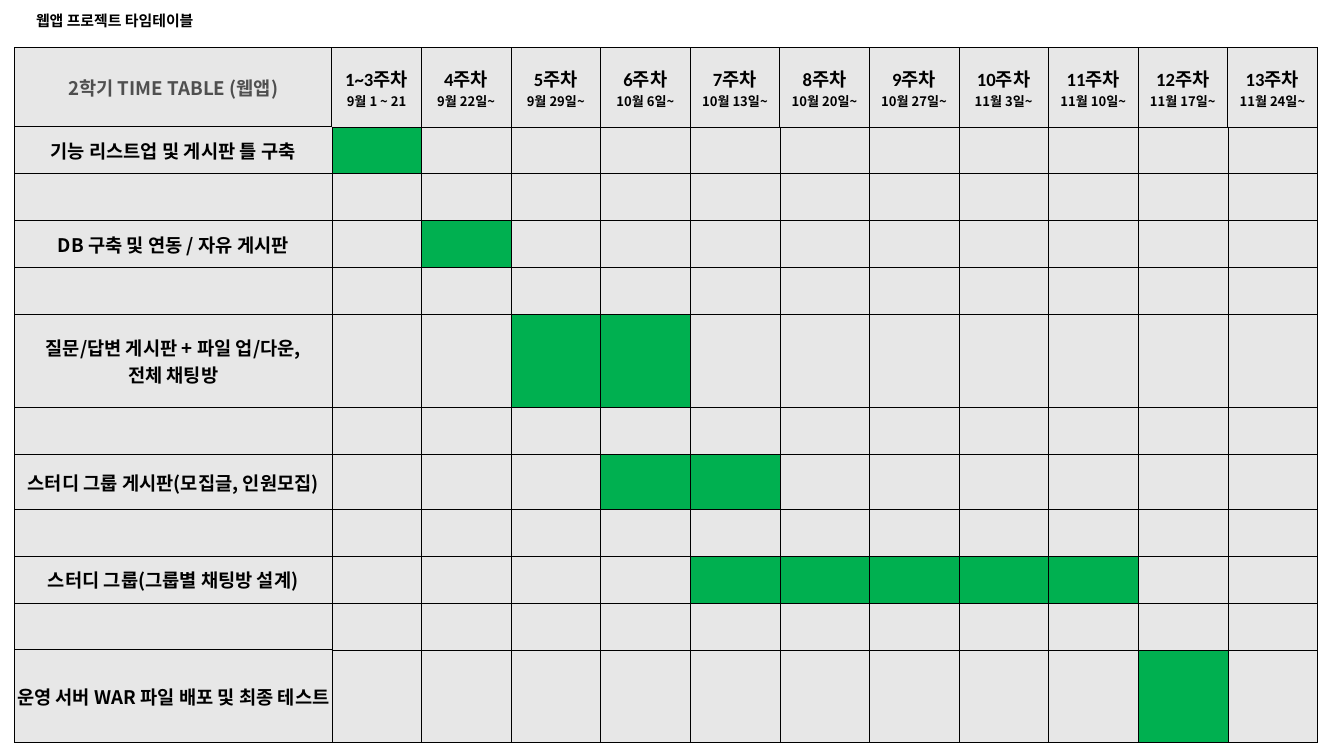
from lxml import etree
from pptx import Presentation
from pptx.dml.color import RGBColor
from pptx.enum.text import MSO_ANCHOR, PP_ALIGN
from pptx.oxml.ns import qn
from pptx.util import Emu, Pt

PX = 9525
CENTER = PP_ALIGN.CENTER
MIDDLE = MSO_ANCHOR.MIDDLE
KOREAN_FONT = "Noto Sans CJK KR"
WEEK_FONT = "Calibri"
COLORS = {"grid": "000000", "text": "000000", "heading": "4F4F4F",
          "empty": "E7E7E7", "active": "00B050"}

WEEKS = [
    ("1~3주차", "9월 1 ~ 21"), ("4주차", "9월 22일~"), ("5주차", "9월 29일~"),
    ("6주차", "10월 6일~"), ("7주차", "10월 13일~"), ("8주차", "10월 20일~"),
    ("9주차", "10월 27일~"), ("10주차", "11월 3일~"), ("11주차", "11월 10일~"),
    ("12주차", "11월 17일~"), ("13주차", "11월 24일~"),
]
# Task lines, first and last active week column, row height
TASKS = [
    (["기능 리스트업 및 게시판 틀 구축"], 1, 1, 67),
    (["DB 구축 및 연동 / 자유 게시판"], 2, 2, 67),
    (["질문/답변 게시판 + 파일 업/다운,", "전체 채팅방"], 3, 4, 133),
    (["스터디 그룹 게시판(모집글, 인원모집)"], 4, 5, 67),
    (["스터디 그룹(그룹별 채팅방 설계)"], 5, 9, 67),
    (["운영 서버 WAR 파일 배포 및 최종 테스트"], 10, 10, 133),
]
HEADER_HEIGHT, GAP_HEIGHT = 113, 67
TASK_WIDTH, WEEK_WIDTH = 453, 128


def add_line(paragraph, text, size, font=KOREAN_FONT, color="text"):
    run = paragraph.add_run()
    run.text = text
    run.font.size = Pt(size)
    run.font.bold = True
    run.font.name = font
    run.font.color.rgb = RGBColor.from_string(COLORS[color])
    east_asian = etree.SubElement(run.font._element, qn("a:ea"))
    east_asian.set("typeface", KOREAN_FONT)


def set_borders(cell, widths):
    """Put left, right, top and bottom borders, in points, ahead of the fill."""
    properties = cell._tc.get_or_add_tcPr()
    for position, (side, width) in enumerate(zip("LRTB", widths)):
        border = etree.Element(qn(f"a:ln{side}"), w=str(Pt(width)))
        fill = etree.SubElement(border, qn("a:solidFill"))
        etree.SubElement(fill, qn("a:srgbClr"), val=COLORS["grid"])
        properties.insert(position, border)


prs = Presentation()
prs.slide_width, prs.slide_height = Emu(1920 * PX), Emu(1080 * PX)
slide = prs.slides.add_slide(prs.slide_layouts[6])

# Lay out the rows: a header, then tasks with an empty row between them
row_heights = [HEADER_HEIGHT]
cell_lines = {(0, 0): [("2학기 TIME TABLE (웹앱)", 20, KOREAN_FONT, "heading")]}
active_cells = set()
for col, (week, dates) in enumerate(WEEKS, start=1):
    cell_lines[0, col] = [(week, 20, WEEK_FONT), (dates, 14)]
for index, (lines, first, last, height) in enumerate(TASKS):
    if index:
        row_heights.append(GAP_HEIGHT)
    row = len(row_heights)
    row_heights.append(height)
    cell_lines[row, 0] = [(line, 20) for line in lines]
    active_cells.update((row, col) for col in range(first, last + 1))

col_widths = [TASK_WIDTH] + [WEEK_WIDTH] * len(WEEKS)
last_row, last_col = len(row_heights) - 1, len(col_widths) - 1
timetable = slide.shapes.add_table(
    len(row_heights), len(col_widths), Emu(21 * PX), Emu(68 * PX),
    Emu(sum(col_widths) * PX), Emu(sum(row_heights) * PX)).table
timetable.first_row = False
timetable.horz_banding = False
for column, width in zip(timetable.columns, col_widths):
    column.width = Emu(width * PX)

for row, height in enumerate(row_heights):
    timetable.rows[row].height = Emu(height * PX)
    for col in range(len(col_widths)):
        cell = timetable.cell(row, col)
        state = "active" if (row, col) in active_cells else "empty"
        cell.fill.solid()
        cell.fill.fore_color.rgb = RGBColor.from_string(COLORS[state])
        header, task = row == 0, col == 0
        set_borders(cell, (
            0.75 if header or task else 0.25,
            1 if col == last_col else 0.75 if header else 0.25,
            0.75 if header or task else 0.25,
            1 if row == last_row else 0.75 if task else 0.25))
        cell.vertical_anchor = MIDDLE
        cell.margin_left = cell.margin_right = cell.margin_top = Emu(PX)
        cell.margin_bottom = 0
        frame = cell.text_frame
        for index, line in enumerate(cell_lines.get((row, col), [])):
            paragraph = frame.add_paragraph() if index else frame.paragraphs[0]
            paragraph.alignment = CENTER
            add_line(paragraph, *line)

title = slide.shapes.add_textbox(
    Emu(42 * PX), Emu(12 * PX), Emu(421 * PX), Emu(36 * PX)).text_frame
title.word_wrap = True
add_line(title.paragraphs[0], "웹앱 프로젝트 타임테이블", 16)

prs.save("out.pptx")
